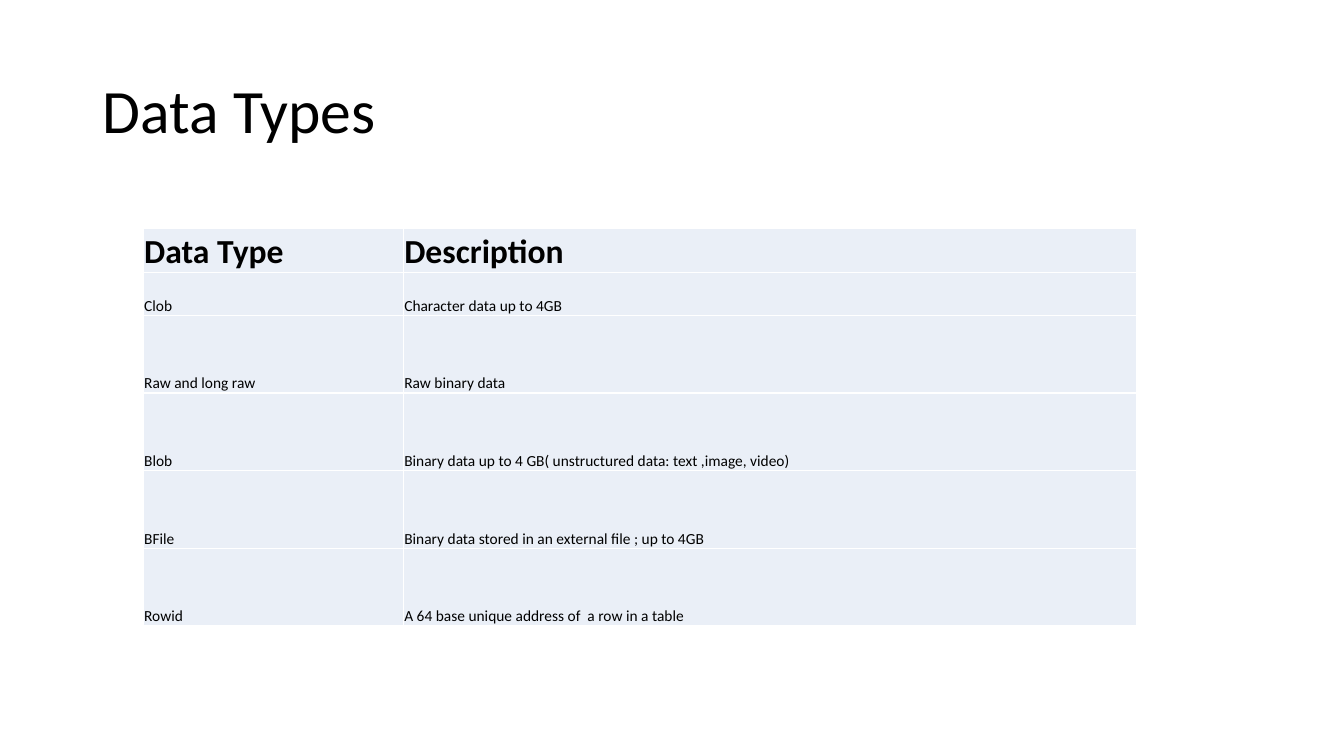
from dataclasses import dataclass

from lxml.etree import SubElement
from pptx import Presentation
from pptx.dml.color import RGBColor
from pptx.enum.text import MSO_ANCHOR, PP_ALIGN
from pptx.oxml.ns import qn
from pptx.util import Inches, Pt


@dataclass(frozen=True)
class Theme:
    font: str = "Calibri"
    text: str = "000000"
    cell: str = "EAEFF7"
    border: str = "FFFFFF"
    title_size: int = 44
    header_size: int = 24
    body_size: int = 11


THEME = Theme()
WIDTH, HEIGHT = 13.33, 7.5
COLUMNS = [2.58, 7.27]
SHORT_ROW, TALL_ROW = 0.43, 0.77

HEADER = ("Data Type", "Description")
DATA_TYPES = [
    ("Clob", "Character data up to 4GB"),
    ("Raw and long raw", "Raw binary data"),
    ("Blob", "Binary data up to 4 GB( unstructured data: text ,image, video)"),
    ("BFile", "Binary data stored in an external file ; up to 4GB"),
    ("Rowid", "A 64 base unique address of  a row in a table"),
]


def style_paragraph(p, size, bold=False):
    p.alignment = PP_ALIGN.LEFT
    p.font.name = THEME.font
    p.font.size = Pt(size)
    p.font.bold = bold
    p.font.color.rgb = RGBColor.from_string(THEME.text)


def add_title(s, text):
    title = s.shapes.title
    title.left, title.top = Inches(0.92), Inches(0.4)
    title.width, title.height = Inches(11.5), Inches(1.45)
    tf = title.text_frame
    tf.text = text
    tf.vertical_anchor = MSO_ANCHOR.MIDDLE
    p = tf.paragraphs[0]
    p.line_spacing = 0.9
    style_paragraph(p, THEME.title_size)


def add_borders(cell):
    tc_pr = cell._tc.get_or_add_tcPr()
    for side in ("a:lnL", "a:lnR", "a:lnT", "a:lnB"):
        ln = SubElement(tc_pr, qn(side), w=str(Pt(1)))
        fill = SubElement(ln, qn("a:solidFill"))
        SubElement(fill, qn("a:srgbClr"), val=THEME.border)


def format_cell(cell, text, size, bold):
    # Borders precede the fill in the cell properties
    add_borders(cell)
    cell.fill.solid()
    cell.fill.fore_color.rgb = RGBColor.from_string(THEME.cell)
    cell.margin_left = cell.margin_right = cell.margin_top = Inches(0.01)
    cell.margin_bottom = 0
    cell.vertical_anchor = MSO_ANCHOR.BOTTOM
    cell.text = text
    style_paragraph(cell.text_frame.paragraphs[0], size, bold)


def add_data_table(s, left, top):
    rows = [HEADER] + DATA_TYPES
    heights = [SHORT_ROW] * 2 + [TALL_ROW] * (len(rows) - 2)
    table = s.shapes.add_table(
        len(rows), len(COLUMNS), Inches(left), Inches(top),
        Inches(sum(COLUMNS)), Inches(sum(heights))).table
    table.horz_banding = False
    for column, width in zip(table.columns, COLUMNS):
        column.width = Inches(width)
    for i, (values, height) in enumerate(zip(rows, heights)):
        table.rows[i].height = Inches(height)
        size = THEME.body_size if i else THEME.header_size
        for j, value in enumerate(values):
            format_cell(table.cell(i, j), value, size, bold=i == 0)


def main():
    prs = Presentation()
    prs.slide_width, prs.slide_height = Inches(WIDTH), Inches(HEIGHT)
    s = prs.slides.add_slide(prs.slide_layouts[5])  # title only

    add_title(s, "Data Types")
    add_data_table(s, left=1.42, top=2.27)

    prs.save("out.pptx")


if __name__ == "__main__":
    main()
